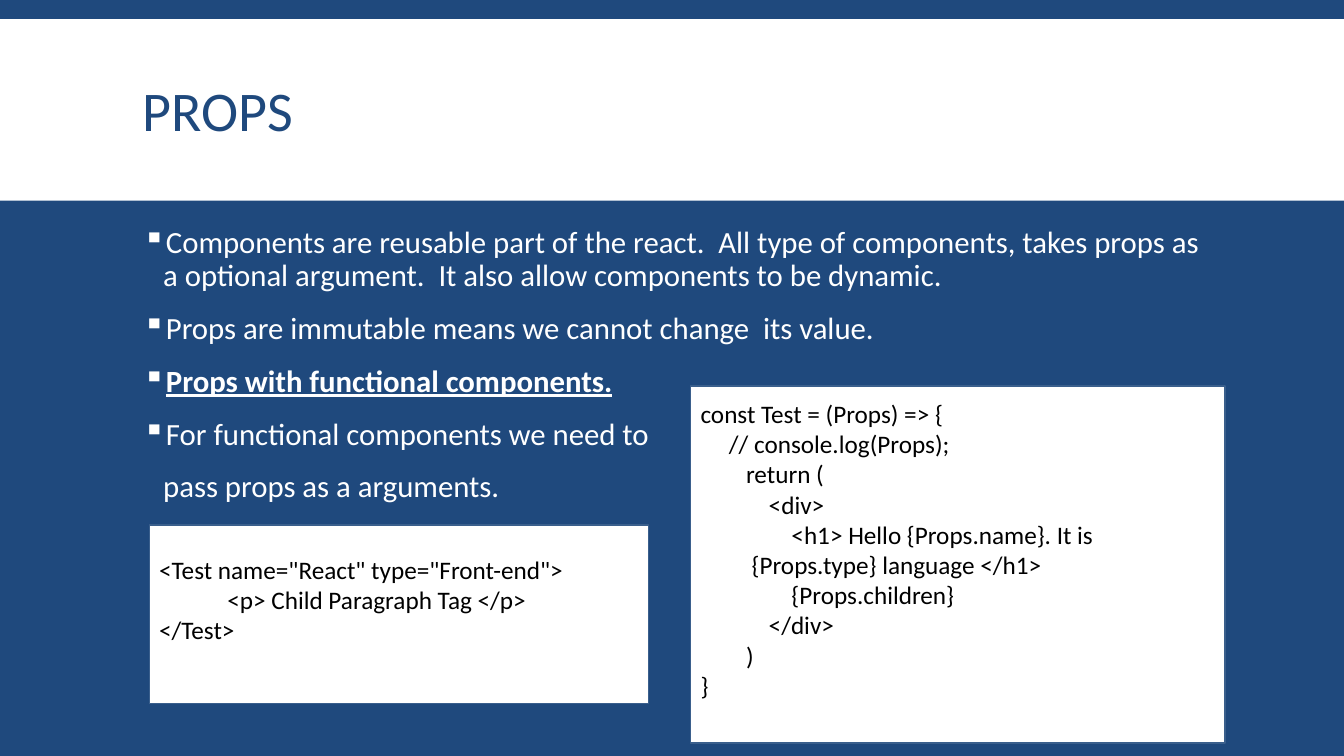
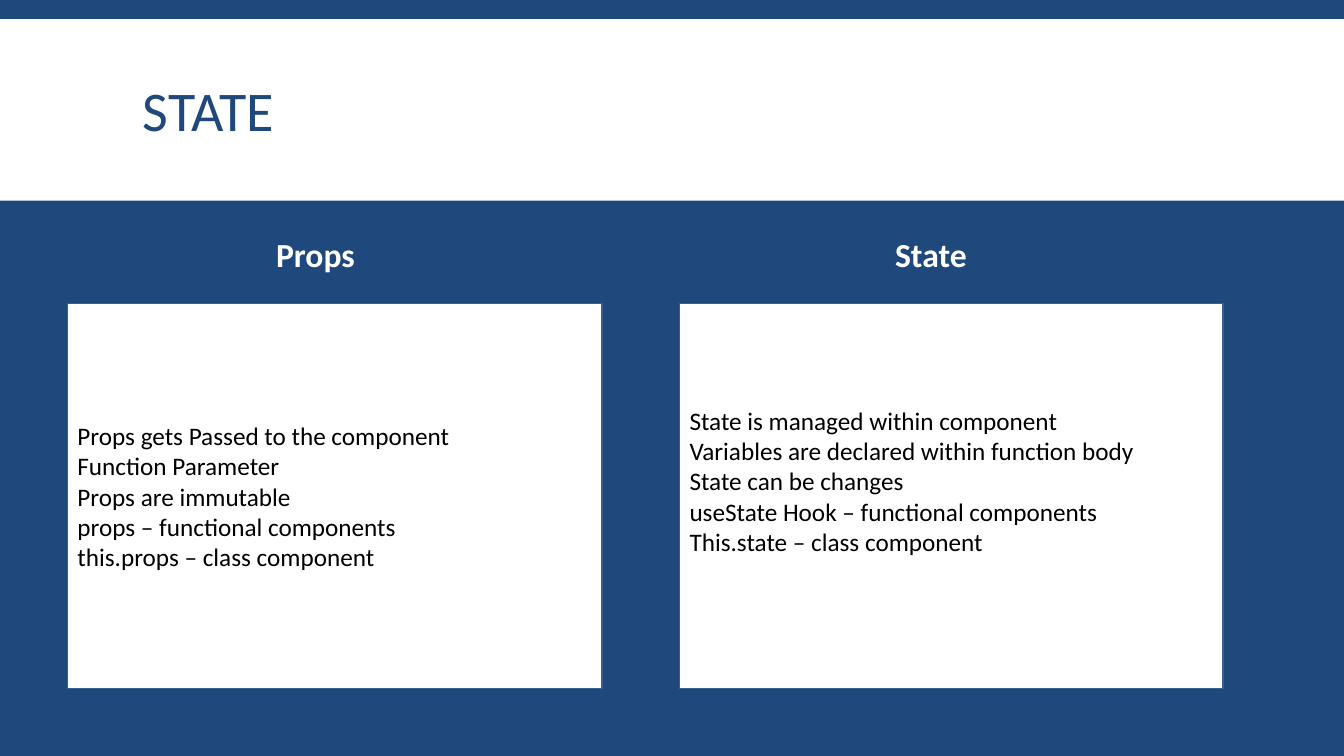
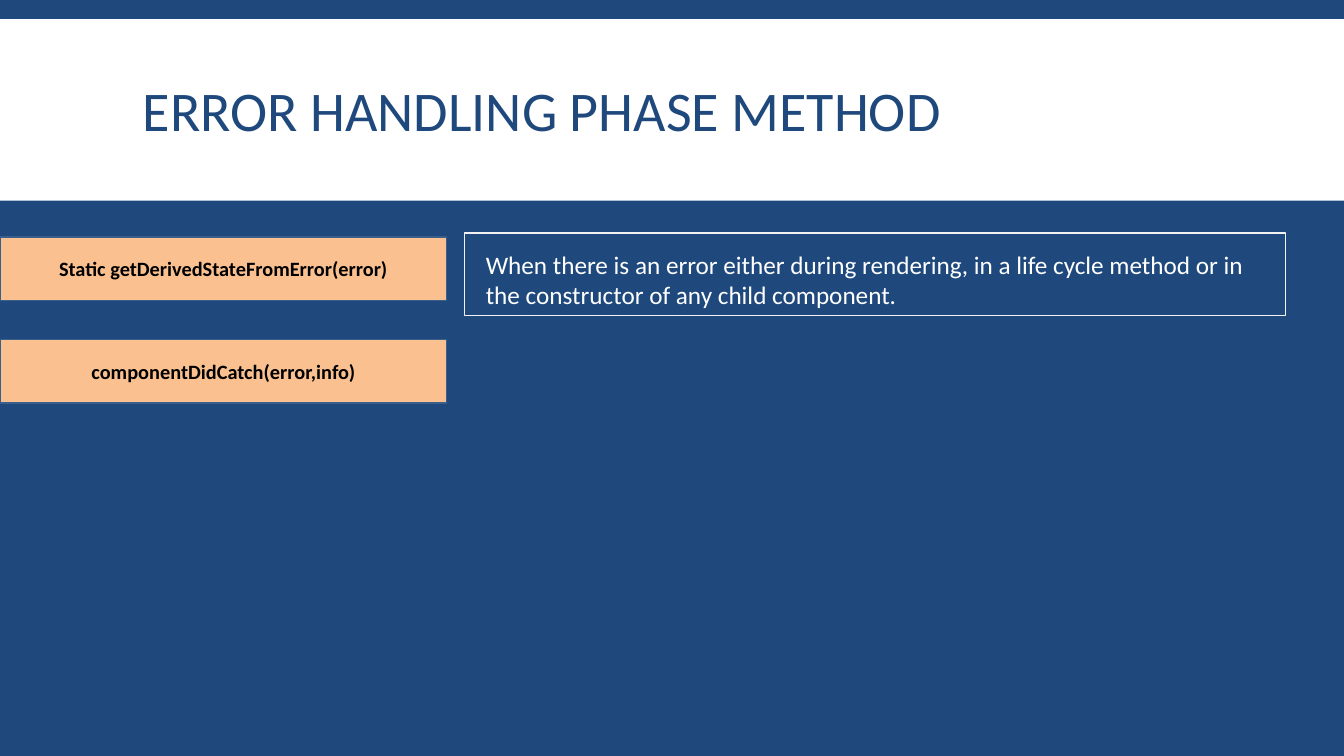
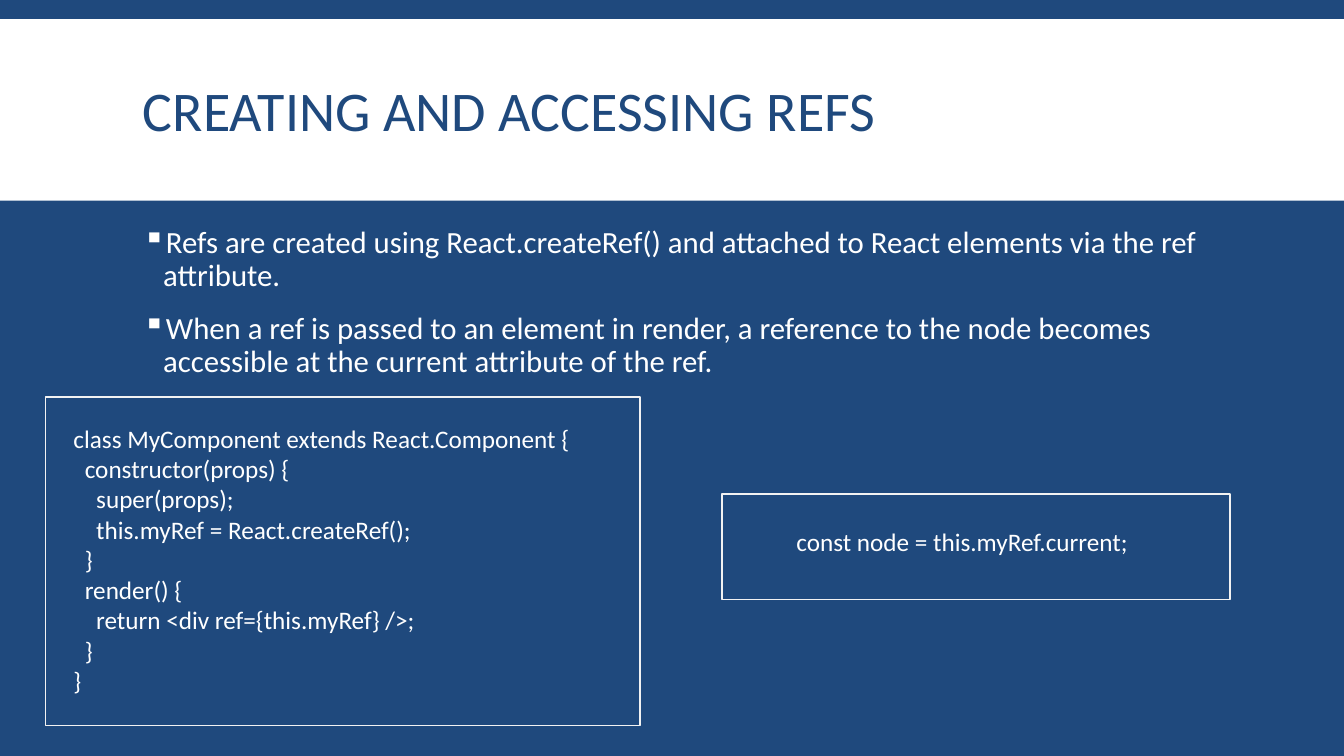
from lxml import etree
from pptx import Presentation
from pptx.dml.color import RGBColor
from pptx.enum.shapes import MSO_SHAPE
from pptx.enum.text import MSO_ANCHOR, PP_ALIGN
from pptx.oxml.ns import qn
from pptx.util import Inches, Pt

RECT = MSO_SHAPE.RECTANGLE
TOP, MIDDLE = MSO_ANCHOR.TOP, MSO_ANCHOR.MIDDLE
LEFT, CENTER = PP_ALIGN.LEFT, PP_ALIGN.CENTER

COLORS = {
    "navy": "1F497D",
    "white": "FFFFFF",
    "black": "000000",
    "edge": "3A5F8C",
    "frame": "F2F2F2",
    "peach": "FAC090",
}
TITLE = {"size": Pt(40)}
BODY = {"size": Pt(22)}
STRONG = {"size": Pt(22), "bold": True, "underline": True}
HEADING = {"size": Pt(24), "bold": True}
TEXT = {"size": Pt(18)}
METHOD = {"size": Pt(14.5), "bold": True}


class Deck:
    """Holds the shared style and the slide being built."""

    def __init__(self):
        self.prs = Presentation()
        self.prs.slide_width = Inches(13.33)
        self.prs.slide_height = Inches(7.5)
        self.s = None

    def color(self, name):
        return RGBColor.from_string(COLORS[name])

    def slide(self, title):
        self.s = self.prs.slides.add_slide(self.prs.slide_layouts[6])
        fill = self.s.background.fill
        fill.solid()
        fill.fore_color.rgb = self.color("navy")
        self.rect((0, 0.19, 13.33, 1.8), "white")
        tf = self.text((1.32, 0.31, 10.7, 1.65), [title], TITLE, "navy", MIDDLE)
        tf.paragraphs[0].line_spacing = 0.85

    def rect(self, at, fill=None, line=None):
        sp = self.s.shapes.add_shape(RECT, *map(Inches, at))
        sp.shadow.inherit = False
        if fill:
            sp.fill.solid()
            sp.fill.fore_color.rgb = self.color(fill)
        else:
            sp.fill.background()
        if line:
            sp.line.color.rgb = self.color(line)
            sp.line.width = Pt(1)
        else:
            sp.line.fill.background()
        return sp

    def run(self, p, text, fmt, color):
        r = p.add_run()
        r.text = text
        r.font.name = "Calibri"
        r.font.color.rgb = self.color(color)
        for key, value in fmt.items():
            setattr(r.font, key, value)

    def lines(self, tf, lines, fmt, color, anchor=TOP, align=LEFT):
        tf.word_wrap = True
        tf.vertical_anchor = anchor
        for i, line in enumerate(lines):
            p = tf.add_paragraph() if i else tf.paragraphs[0]
            p.alignment = align
            self.run(p, line, fmt, color)
        return tf

    def text(self, at, lines, fmt=TEXT, color="white", anchor=TOP):
        sp = self.s.shapes.add_textbox(*map(Inches, at))
        return self.lines(sp.text_frame, lines, fmt, color, anchor)

    def panel(self, at, lines, bottom=0.05):
        tf = self.rect(at, "white", "edge").text_frame
        tf.margin_bottom = Inches(bottom)
        self.lines(tf, lines, TEXT, "black", MIDDLE)

    def method(self, top, name):
        tf = self.rect((0, top, 4.43, 0.63), "peach", "edge").text_frame
        self.lines(tf, [name], METHOD, "black", MIDDLE, CENTER)

    def frame(self, at):
        self.rect(at, line="frame")

    def bullets(self, items):
        tf = self.s.shapes.add_textbox(*map(Inches, (1.32, 2.2, 10.7, 4.6))).text_frame
        tf.word_wrap = True
        for i, (text, fmt, marked) in enumerate(items):
            p = tf.add_paragraph() if i else tf.paragraphs[0]
            pPr = p._p.get_or_add_pPr()
            pPr.set("marL", str(Inches(0.2)))
            if marked:
                pPr.set("indent", str(Inches(-0.2)))
                clr = etree.SubElement(pPr, qn("a:buClr"))
                etree.SubElement(clr, qn("a:srgbClr"), val=COLORS["white"])
                etree.SubElement(pPr, qn("a:buChar"), char="▪")
            p.line_spacing = 0.9
            p.space_before = Pt(12 if i else 0)
            p.space_after = Pt(2)
            self.run(p, text, fmt, "white")


def props(d):
    d.slide("PROPS")
    d.bullets([
        ("Components are reusable part of the react.  All type of components, takes props as "
         "a optional argument.  It also allow components to be dynamic.", BODY, True),
        ("Props are immutable means we cannot change  its value.", BODY, True),
        ("Props with functional components.", STRONG, True),
        ("For functional components we need to", BODY, True),
        ("pass props as a arguments.", BODY, False),
    ])
    d.panel((6.85, 3.83, 5.3, 3.54), [
        "const Test = (Props) => {",
        "     // console.log(Props);",
        "        return (",
        "            <div>",
        "                <h1> Hello {Props.name}. It is",
        "         {Props.type} language </h1>",
        "                {Props.children}",
        "            </div>",
        "        )",
        "}",
    ], bottom=0.35)
    d.panel((1.48, 5.21, 4.95, 1.77), [
        '<Test name="React" type="Front-end">',
        "            <p> Child Paragraph Tag </p>",
        "</Test>",
    ], bottom=0.35)


def state(d):
    d.slide("STATE")
    d.panel((6.74, 3.01, 5.39, 3.82), [
        "State is managed within component",
        "Variables are declared within function body",
        "State can be changes",
        "useState Hook – functional components",
        "This.state – class component",
    ], bottom=0.35)
    d.panel((0.67, 3.01, 5.3, 3.82), [
        "Props gets Passed to the component",
        "Function Parameter",
        "Props are immutable",
        "props – functional components",
        "this.props – class component",
    ])
    for left, heading in ((2.64, "Props"), (8.78, "State")):
        d.text((left, 2.27, 1.03, 0.5), [heading], HEADING)


def errors(d):
    d.slide("ERROR HANDLING PHASE METHOD")
    d.text((4.72, 2.42, 8.09, 0.71), [
        "When there is an error either during rendering, in a life cycle method or in "
        "the constructor of any child component."])
    d.frame((4.61, 2.31, 8.14, 0.82))
    for top, name in ((2.35, "Static getDerivedStateFromError(error)"),
                      (3.37, "componentDidCatch(error,info)")):
        d.method(top, name)


def refs(d):
    d.slide("CREATING AND ACCESSING REFS")
    d.bullets([
        ("Refs are created using React.createRef() and attached to React elements via "
         "the ref attribute.", BODY, True),
        ("When a ref is passed to an element in render, a reference to the node becomes "
         "accessible at the current attribute of the ref.", BODY, True),
    ])
    d.text((0.63, 4.15, 5.45, 2.83), [
        "class MyComponent extends React.Component {",
        "  constructor(props) {",
        "    super(props);",
        "    this.myRef = React.createRef();",
        "  }",
        "  render() {",
        "    return <div ref={this.myRef} />;",
        "  }",
        "}",
    ])
    d.text((7.8, 5.17, 3.59, 0.4), ["const node = this.myRef.current;"])
    d.frame((0.45, 3.94, 5.9, 3.26))
    d.frame((7.16, 4.9, 5.04, 1.05))


def main():
    d = Deck()
    for build in (props, state, errors, refs):
        build(d)
    d.prs.save("out.pptx")


if __name__ == "__main__":
    main()
